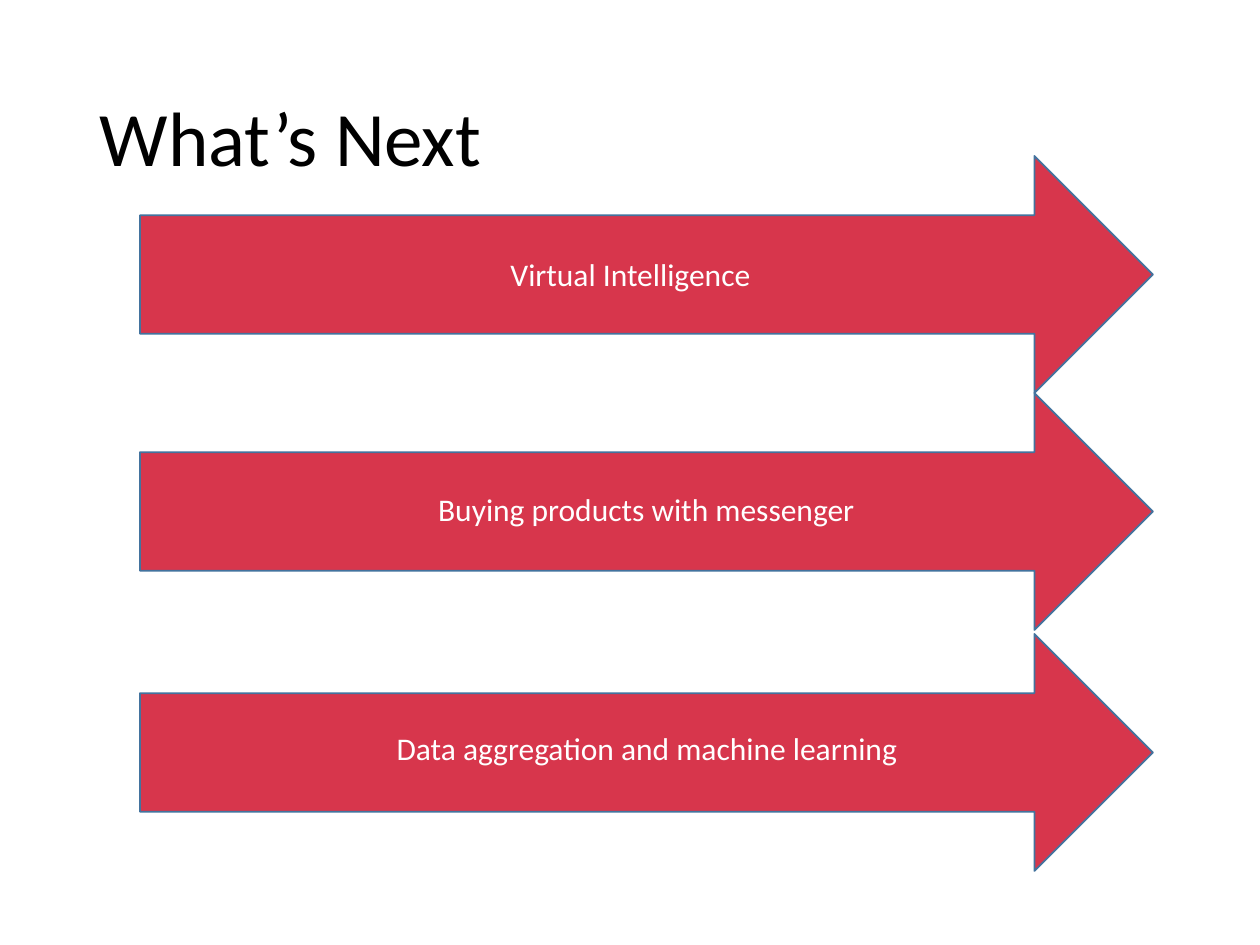
import pptx
import pptx.util
import pptx.dml.color
import pptx.enum.shapes
import pptx.enum.text

RGBColor = pptx.dml.color.RGBColor
MSO_ANCHOR = pptx.enum.text.MSO_ANCHOR
PP_ALIGN = pptx.enum.text.PP_ALIGN

BLACK = RGBColor(0x00, 0x00, 0x00)
WHITE = RGBColor(0xFF, 0xFF, 0xFF)
RED = RGBColor(0xD7, 0x36, 0x4C)
BLUE = RGBColor(0x43, 0x73, 0x9E)

EMU_PER_PX = 914400 // 126
ARROW_LEFT, ARROW_WIDTH, ARROW_HEIGHT = 140, 1013, 237
LABEL_HEIGHT = 50

# arrow top, label left, label top, label width, label
STEPS = [
    (156, 437, 249, 387, "Virtual Intelligence"),
    (393, 413, 484, 467, "Buying products with messenger"),
    (634, 378, 723, 538, "Data aggregation and machine learning"),
]


def px(*lengths):
    """Turn pixel lengths into EMU."""
    return [pptx.util.Emu(n * EMU_PER_PX) for n in lengths]


class Deck:
    """Holds the style and the current slide."""

    font = "Calibri"

    def __init__(self, prs):
        self.slide = prs.slides.add_slide(prs.slide_layouts[5])

    def add_run(self, p, text, size, color):
        r = p.add_run()
        r.text = text
        r.font.name = self.font
        r.font.size = pptx.util.Pt(size)
        r.font.color.rgb = color

    def title(self, text, *box):
        sp = self.slide.shapes.title
        sp.left, sp.top, sp.width, sp.height = px(*box)
        tf = sp.text_frame
        tf.vertical_anchor = MSO_ANCHOR.MIDDLE
        p = tf.paragraphs[0]
        p.alignment = PP_ALIGN.LEFT
        p.line_spacing = 0.9
        self.add_run(p, text, 44, BLACK)

    def arrow(self, *box):
        sp = self.slide.shapes.add_shape(
            pptx.enum.shapes.MSO_SHAPE.RIGHT_ARROW, *px(*box))
        sp.shadow.inherit = False
        sp.fill.solid()
        sp.fill.fore_color.rgb = RED
        sp.line.color.rgb = BLUE
        sp.line.width = pptx.util.Pt(1)

    def label(self, text, *box):
        tf = self.slide.shapes.add_textbox(*px(*box)).text_frame
        tf.word_wrap = True
        tf.auto_size = pptx.enum.text.MSO_AUTO_SIZE.SHAPE_TO_FIT_TEXT
        p = tf.paragraphs[0]
        p.alignment = PP_ALIGN.CENTER
        self.add_run(p, text, 18, WHITE)


def main():
    prs = pptx.Presentation()
    prs.slide_width = pptx.util.Inches(10)
    prs.slide_height = pptx.util.Inches(7.5)

    deck = Deck(prs)
    deck.title("What’s Next", 87, 50, 1086, 183)
    for arrow_top, *_ in STEPS:
        deck.arrow(ARROW_LEFT, arrow_top, ARROW_WIDTH, ARROW_HEIGHT)
    for _, left, top, width, text in STEPS:
        deck.label(text, left, top, width, LABEL_HEIGHT)

    prs.save("out.pptx")


if __name__ == "__main__":
    main()
